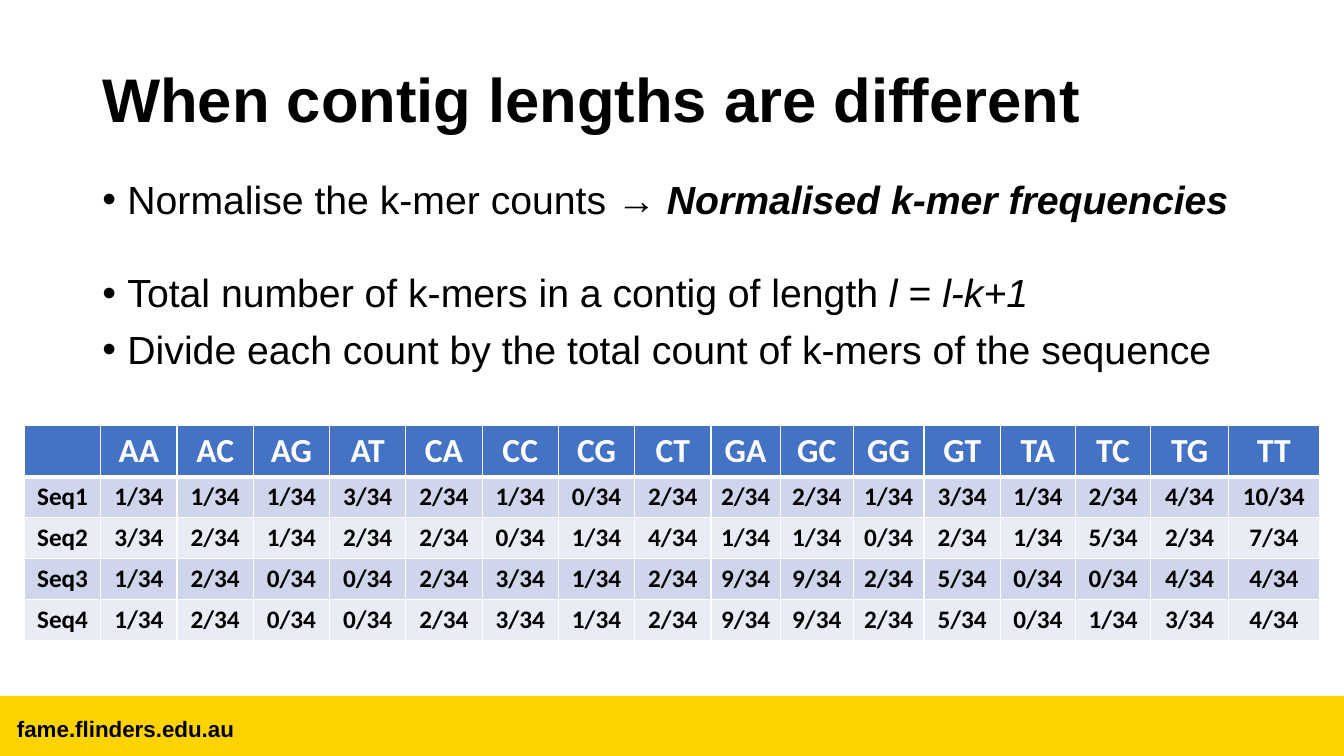
from lxml import etree
from pptx import Presentation
from pptx.dml.color import RGBColor
from pptx.enum import shapes, text
from pptx.oxml import ns
from pptx.util import Pt

SLIDE_W, SLIDE_H = 960, 540
BLACK, WHITE, YELLOW = "000000", "FFFFFF", "FFD300"
HEADER_BLUE, BANDS = "4472C4", ("CFD5EA", "E9EBF5")

# Each point: space before, then runs of (words, bold, italic)
POINTS = [
    (0, [("Normalise the k-mer counts → ", False, False),
         ("Normalised k-mer frequencies", True, True)]),
    (36.6, [("Total number of k-mers in a contig of length ", False, False),
            ("l", False, True), (" = ", False, False), ("l-k+1", False, True)]),
    (10, [("Divide each count by the total count of k-mers of the sequence", False, False)]),
]

KMERS = [first + second for first in "ACGT" for second in "ACGT"]
TOTAL = 34
COUNTS = {
    "Seq1": [1, 1, 1, 3, 2, 1, 0, 2, 2, 2, 1, 3, 1, 2, 4, 10],
    "Seq2": [3, 2, 1, 2, 2, 0, 1, 4, 1, 1, 0, 2, 1, 5, 2, 7],
    "Seq3": [1, 2, 0, 0, 2, 3, 1, 2, 9, 9, 2, 5, 0, 0, 4, 4],
    "Seq4": [1, 2, 0, 0, 2, 3, 1, 2, 9, 9, 2, 5, 0, 1, 3, 4],
}
COLUMN_WIDTHS = [54.5] * 9 + [49.5, 52.2, 50.5, 54.6, 53.6, 53.8, 55.6, 64.8]
HEADER_HEIGHT, ROW_HEIGHT = 36.5, 29.2


def color(hex_string):
    return RGBColor.from_string(hex_string)


def style(font, size, hex_string=BLACK, bold=False, italic=False, name="Arial"):
    font.name, font.size, font.bold, font.italic = name, Pt(size), bold, italic
    font.color.rgb = color(hex_string)


def add_frame(slide, left, top, width, height, anchor=text.MSO_ANCHOR.TOP):
    frame = slide.shapes.add_textbox(Pt(left), Pt(top), Pt(width), Pt(height)).text_frame
    frame.word_wrap = True
    frame.vertical_anchor = anchor
    return frame


def add_footer(slide, left, top, width, height):
    band = slide.shapes.add_shape(shapes.MSO_SHAPE.RECTANGLE,
                                  Pt(left), Pt(top), Pt(width), Pt(height))
    band.shadow.inherit = False
    band.fill.solid()
    band.fill.fore_color.rgb = color(YELLOW)
    band.line.fill.background()
    address = add_frame(slide, left + 5, top + 10, width / 2, 26.6)
    address.text = "fame.flinders.edu.au"
    style(address.paragraphs[0].runs[0].font, 16, bold=True)


def add_title(slide, left, top, width, height):
    title = add_frame(slide, left, top, width, height, text.MSO_ANCHOR.MIDDLE)
    title.text = "When contig lengths are different"
    title.paragraphs[0].line_spacing = 0.9
    style(title.paragraphs[0].runs[0].font, 44, bold=True)


def add_points(slide, left, top, width, height):
    body = add_frame(slide, left, top, width, height)
    for index, (space, runs) in enumerate(POINTS):
        point = body.add_paragraph() if index else body.paragraphs[0]
        point.line_spacing = 0.9
        point.space_before = Pt(space)
        # Hanging bullet
        properties = point._p.get_or_add_pPr()
        properties.set("marL", str(Pt(18)))
        properties.set("indent", str(Pt(-18)))
        etree.SubElement(properties, ns.qn("a:buFont")).set("typeface", "Arial")
        etree.SubElement(properties, ns.qn("a:buChar")).set("char", "•")
        for words, bold, italic in runs:
            run = point.add_run()
            run.text = words
            style(run.font, 28, bold=bold, italic=italic)


def add_borders(cell, bottom_width):
    properties = cell._tc.get_or_add_tcPr()
    for side, width in (("L", 1), ("R", 1), ("T", 1), ("B", bottom_width)):
        border = etree.SubElement(properties, ns.qn("a:ln" + side), w=str(Pt(width)))
        fill = etree.SubElement(border, ns.qn("a:solidFill"))
        etree.SubElement(fill, ns.qn("a:srgbClr")).set("val", WHITE)


def add_frequencies(slide, left, top):
    rows = [[""] + KMERS]
    rows += [[name] + [f"{count}/{TOTAL}" for count in counts]
             for name, counts in COUNTS.items()]
    heights = [HEADER_HEIGHT] + [ROW_HEIGHT] * len(COUNTS)
    table = slide.shapes.add_table(len(rows), len(COLUMN_WIDTHS), Pt(left), Pt(top),
                                   Pt(sum(COLUMN_WIDTHS)), Pt(sum(heights))).table
    for column, width in zip(table.columns, COLUMN_WIDTHS):
        column.width = Pt(width)
    for r, values in enumerate(rows):
        table.rows[r].height = Pt(heights[r])
        header = r == 0
        for c, value in enumerate(values):
            cell = table.cell(r, c)
            cell.margin_left = cell.margin_right = Pt(3)
            add_borders(cell, 3 if header else 1)
            cell.fill.solid()
            cell.fill.fore_color.rgb = color(HEADER_BLUE if header else BANDS[(r - 1) % 2])
            cell.text_frame.text = value
            entry = cell.text_frame.paragraphs[0]
            entry.alignment = text.PP_ALIGN.CENTER
            for run in entry.runs:
                style(run.font, 24 if header else 18, WHITE if header else BLACK,
                      bold=True, name="Calibri")


def main():
    deck = Presentation()
    deck.slide_width, deck.slide_height = Pt(SLIDE_W), Pt(SLIDE_H)
    slide = deck.slides.add_slide(deck.slide_layouts[6])
    add_footer(slide, 0, 497, SLIDE_W, 43)
    add_title(slide, 66, 39.6, 828, 67)
    add_points(slide, 66, 125.3, 828, 356)
    add_frequencies(slide, 17.5, 304)
    deck.save("out.pptx")


if __name__ == "__main__":
    main()
